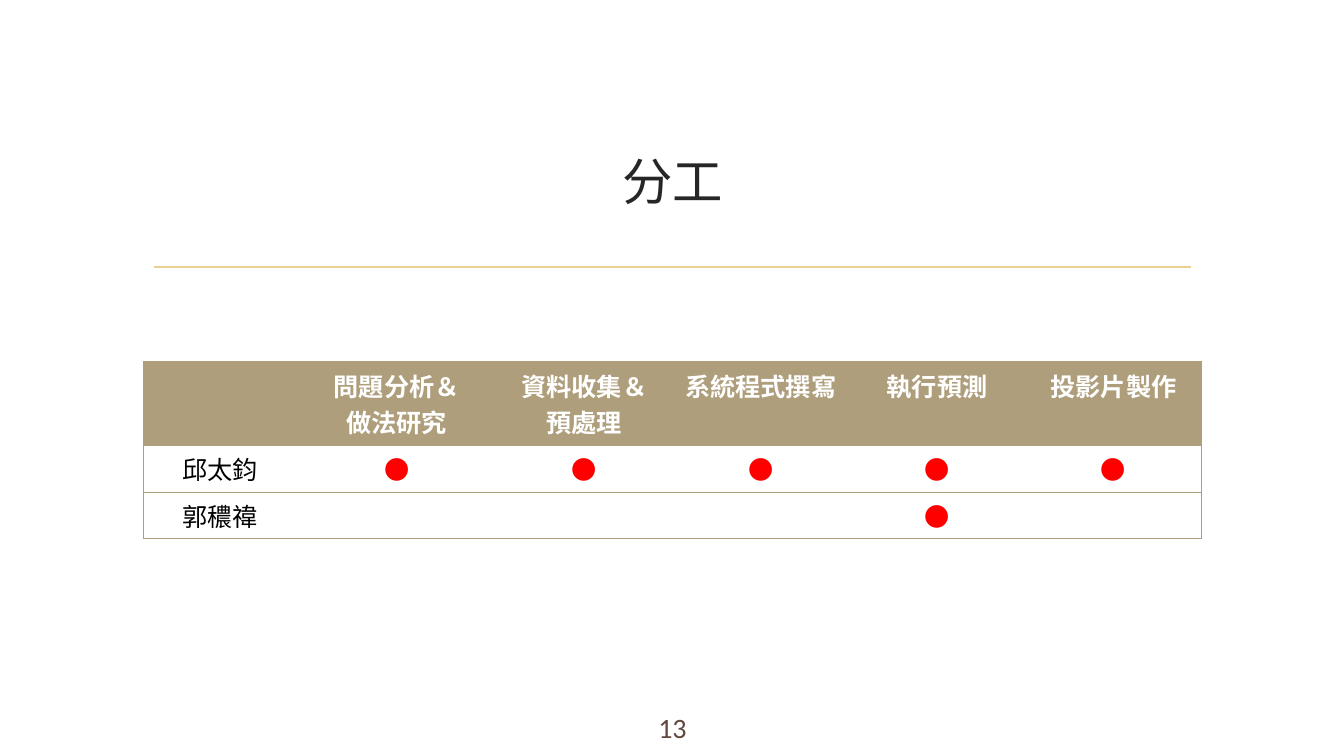
from dataclasses import dataclass

from pptx import Presentation
from pptx.dml.color import RGBColor
from pptx.enum.shapes import MSO_CONNECTOR
from pptx.enum.text import MSO_ANCHOR, PP_ALIGN
from pptx.oxml.ns import qn
from pptx.oxml.xmlchemy import OxmlElement
from pptx.util import Inches, Pt


@dataclass(frozen=True)
class Theme:
    """Colours, fonts and type sizes of the slide."""
    cjk: str = "Noto Sans CJK SC"
    latin: str = "Calibri"
    title: str = "262626"
    rule: str = "E8D191"
    head: str = "AE9E7C"
    white: str = "FFFFFF"
    black: str = "000000"
    dot: str = "FF0000"
    number: str = "614740"
    title_size: int = 36
    table_size: int = 18
    number_size: int = 20


THEME = Theme()
WIDTH, HEIGHT = 13.33, 7.5
NO_STYLE = "{2D5ABB26-0587-4C30-8999-92F81FD0307C}"
TASKS = ["問題分析＆\n做法研究", "資料收集＆\n預處理", "系統程式撰寫", "執行預測", "投影片製作"]
MEMBERS = {"邱太鈞": {0, 1, 2, 3, 4}, "郭穠禕": {3}}


def write(tf, text, color, size, font=THEME.cjk, bold=False):
    """Fill a text frame with centred lines in one format."""
    tf.text = text
    for p in tf.paragraphs:
        p.alignment = PP_ALIGN.CENTER
        for r in p.runs:
            formats = {"name": font, "size": Pt(size), "bold": bold}
            for key, value in formats.items():
                setattr(r.font, key, value)
            r.font.color.rgb = RGBColor.from_string(color)
            ea = OxmlElement("a:ea")
            ea.set("typeface", font)
            r.font._element.append(ea)


def add_title(s, box, text):
    """Place the title placeholder in the box."""
    sp = s.shapes.title
    for key, value in zip(("left", "top", "width", "height"), box):
        setattr(sp, key, Inches(value))
    write(sp.text_frame, text, THEME.title, THEME.title_size)
    sp.text_frame.vertical_anchor = MSO_ANCHOR.MIDDLE


def add_rule(s, left, top, width):
    """Draw the thin line under the title."""
    ends = [Inches(v) for v in (left, top, left + width, top)]
    line = s.shapes.add_connector(MSO_CONNECTOR.STRAIGHT, *ends)
    line.line.color.rgb = RGBColor.from_string(THEME.rule)
    line.line.width = Pt(1.25)
    line._element.spPr.append(OxmlElement("a:effectLst"))


def add_border(cell, side):
    """Draw one thin border of a cell."""
    ln = OxmlElement(f"a:ln{side}")
    ln.set("w", str(Pt(0.75)))
    fill, color = OxmlElement("a:solidFill"), OxmlElement("a:srgbClr")
    color.set("val", THEME.head)
    fill.append(color)
    ln.append(fill)
    cell._tc.get_or_add_tcPr().append(ln)


def add_task_table(s, box, cols, rows):
    """Place the table of members and tasks, sized by shares of the box."""
    left, top, width, height = box
    grid = [["", *TASKS]]
    for name, done in MEMBERS.items():
        grid.append([name, *("●" if i in done else "" for i in range(len(TASKS)))])
    frame = s.shapes.add_table(len(grid), len(grid[0]), *(Inches(v) for v in box))
    table = frame.table
    table.first_row = table.horz_banding = False
    table._tbl.tblPr.find(qn("a:tableStyleId")).text = NO_STYLE
    for col, share in zip(table.columns, cols):
        col.width = Inches(width * share / sum(cols))
    for row, share in zip(table.rows, rows):
        row.height = Inches(height * share / sum(rows))
    for i, texts in enumerate(grid):
        for j, text in enumerate(texts):
            cell, header = table.cell(i, j), i == 0
            color = THEME.white if header else THEME.dot if j else THEME.black
            write(cell.text_frame, text, color, THEME.table_size, bold=header)
            sides = {"L": j == 0, "R": j == len(texts) - 1, "T": True, "B": True}
            for side, shown in sides.items():
                if shown:
                    add_border(cell, side)
            cell.fill.solid()
            cell.fill.fore_color.rgb = RGBColor.from_string(THEME.head if header else THEME.white)


def add_page_number(s, box, number):
    """Place the page number in the box."""
    tf = s.shapes.add_textbox(*(Inches(v) for v in box)).text_frame
    tf.word_wrap = True
    write(tf, number, THEME.number, THEME.number_size, THEME.latin)


def main():
    """Build the slide and save it."""
    prs = Presentation()
    prs.slide_width, prs.slide_height = Inches(WIDTH), Inches(HEIGHT)
    s = prs.slides.add_slide(prs.slide_layouts[5])
    left, width = 1.42, 10.5
    add_rule(s, 1.53, 2.65, 10.28)
    add_task_table(s, (left, 3.59, width, 1.75), (1.53, 1.97, 1.75, 1.75, 1.75, 1.75), (9, 5, 5))
    add_title(s, (left, 1.07, width, 1.43), "分工")
    add_page_number(s, (6.29, 7, 0.76, 0.44), "13")
    prs.save("out.pptx")


if __name__ == "__main__":
    main()
